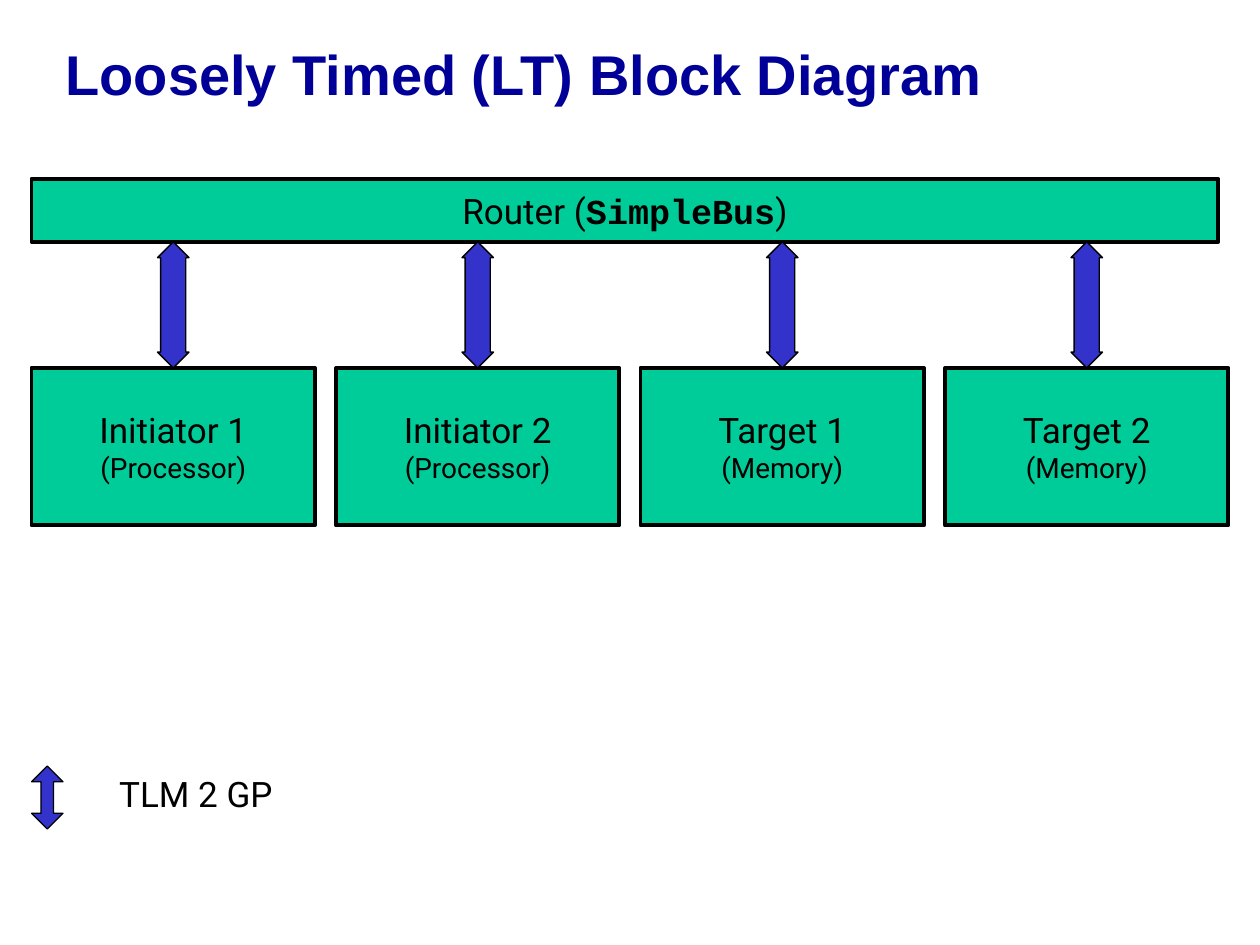
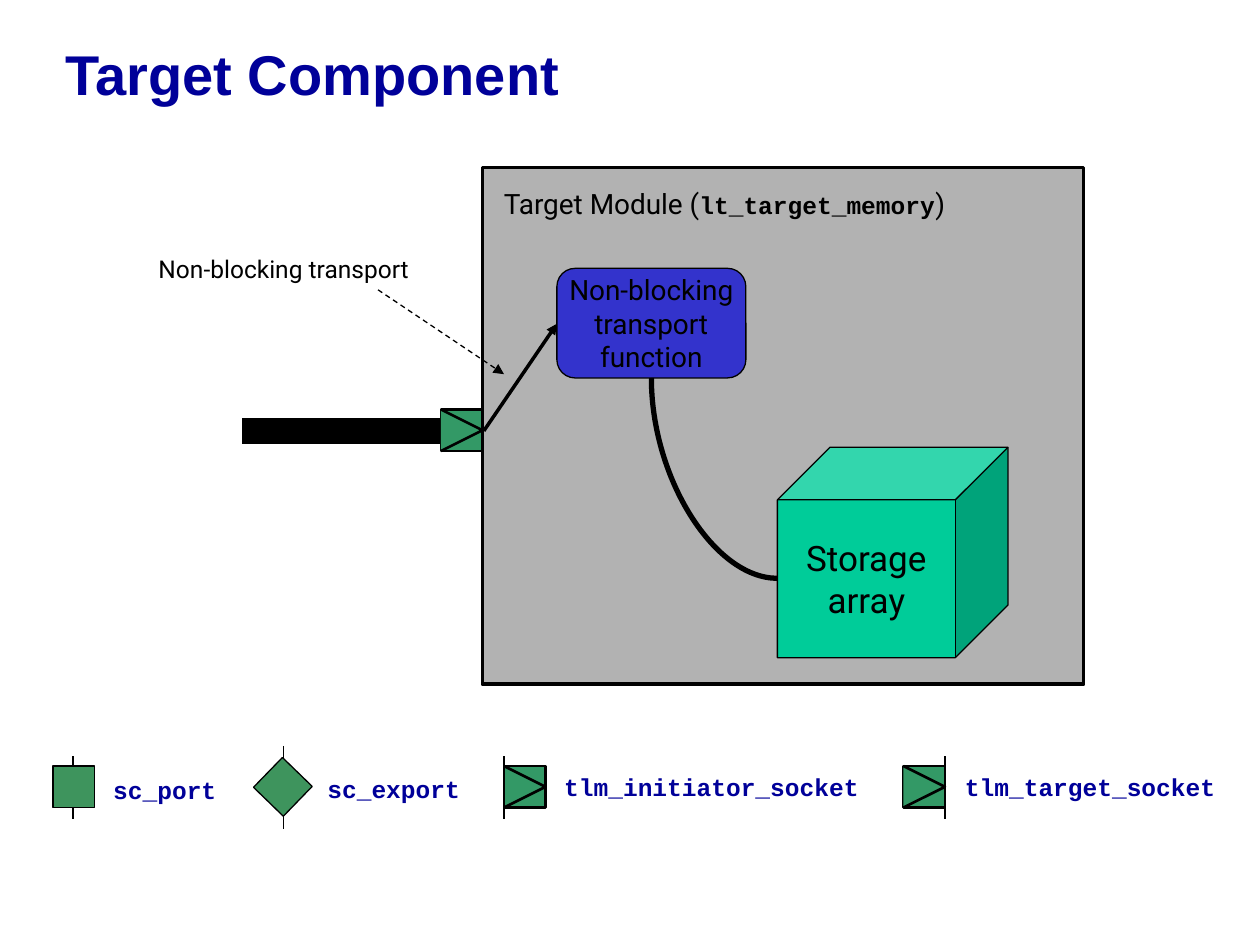
from lxml import etree
from pptx import Presentation
from pptx.dml.color import RGBColor
from pptx.enum import dml, shapes, text
from pptx.oxml import ns
from pptx.util import Inches, Pt

BLACK, NAVY, BLUE = "000000", "000099", "3333CC"
MINT, GREY, SOCKET_GREEN, PORT_GREEN = "00CC99", "B2B2B2", "339966", "3E945D"
BODY, CODE, HEADING = "Roboto", "Courier New", "Arial"
SYMBOL = 0.33
SHAPE = shapes.MSO_SHAPE
CENTER = text.PP_ALIGN.CENTER


def color(hex_code):
    """Turn a hex string into a colour."""
    return RGBColor.from_string(hex_code)


def style_run(run, size, font=BODY, hue=BLACK):
    """Set the font of a run; code and headings are bold."""
    run.font.size = Pt(size)
    run.font.name = font
    run.font.bold = font != BODY
    run.font.color.rgb = color(hue)


def write(frame, paragraphs, align=None, hue=BLACK):
    """Fill a text frame from paragraphs made of (words, size, font) runs."""
    for index, pieces in enumerate(paragraphs):
        paragraph = frame.add_paragraph() if index else frame.paragraphs[0]
        paragraph.alignment = align
        for words, size, font in pieces:
            run = paragraph.add_run()
            run.text = words
            style_run(run, size, font, hue)


def paint(shape, fill, weight):
    """Give a shape a flat fill and a black outline."""
    shape.shadow.inherit = False
    shape.fill.solid()
    shape.fill.fore_color.rgb = color(fill)
    shape.line.color.rgb = color(BLACK)
    shape.line.width = Pt(weight)


def add_block(slide, kind, box, fill, weight=0.75, paragraphs=(), adjust=()):
    """Add a filled preset shape with centred text."""
    block = slide.shapes.add_shape(kind, *map(Inches, box))
    paint(block, fill, weight)
    for index, value in enumerate(adjust):
        block.adjustments[index] = value
    frame = block.text_frame
    frame.word_wrap = False
    frame.vertical_anchor = text.MSO_ANCHOR.MIDDLE
    write(frame, paragraphs, CENTER)
    return block


def add_label(slide, box, pieces, align=None, hue=BLACK, wrap=False):
    """Add a one-paragraph text box."""
    frame = slide.shapes.add_textbox(*map(Inches, box)).text_frame
    frame.word_wrap = wrap
    frame.auto_size = text.MSO_AUTO_SIZE.SHAPE_TO_FIT_TEXT
    write(frame, [pieces], align, hue)
    return frame


def add_line(slide, start, end, weight=0.75, arrow=False, dashed=False,
             kind=shapes.MSO_CONNECTOR.STRAIGHT):
    """Add a black connector, optionally dashed or with an arrow at its end."""
    line = slide.shapes.add_connector(kind, *map(Inches, start + end))
    line.line.color.rgb = color(BLACK)
    line.line.width = Pt(weight)
    if dashed:
        line.line.dash_style = dml.MSO_LINE.DASH
    if arrow:
        etree.SubElement(line.line._get_or_add_ln(), ns.qn("a:tailEnd"), type="triangle")
    etree.SubElement(line._element.spPr, ns.qn("a:effectLst"))
    return line


def add_quarter_curve(slide, start, end, weight):
    """Add a curve that leaves start downwards and reaches end sideways."""
    width, height = end[0] - start[0], end[1] - start[1]
    middle_x, middle_y = start[0] + width / 2, start[1] + height / 2
    curve = add_line(slide, (middle_x - height / 2, middle_y - width / 2),
                     (middle_x + height / 2, middle_y + width / 2), weight,
                     kind=shapes.MSO_CONNECTOR.CURVE)
    properties = curve._element.spPr
    properties.find(ns.qn("a:prstGeom")).set("prst", "curvedConnector2")
    frame = properties.find(ns.qn("a:xfrm"))
    frame.set("rot", str(270 * 60000))
    frame.set("flipH", "1")


def add_socket(slide, left, top):
    """Add a socket symbol: a square with a wedge pointing right."""
    add_block(slide, SHAPE.RECTANGLE, (left, top, SYMBOL, SYMBOL), SOCKET_GREEN, 1.5)
    builder = slide.shapes.build_freeform(Inches(left), Inches(top))
    builder.add_line_segments([(Inches(left + SYMBOL), Inches(top + SYMBOL / 2)),
                               (Inches(left), Inches(top + SYMBOL))], close=False)
    paint(builder.convert_to_shape(), SOCKET_GREEN, 1.5)


def add_bus_arrow(slide, left, top, height, head):
    """Add a blue two-way arrow."""
    add_block(slide, SHAPE.UP_DOWN_ARROW, (left, top, 0.25, height), BLUE,
              adjust=(0.5, head))


def add_titled_slide(deck, title):
    """Add a title-only slide with the shared title style."""
    slide = deck.slides.add_slide(deck.slide_layouts[5])
    heading = slide.shapes.title
    heading.left, heading.top, heading.width, heading.height = map(
        Inches, (0.42, 0, 9.5, 1.25))
    frame = heading.text_frame
    frame.text = title
    frame.word_wrap = True
    frame.auto_size = text.MSO_AUTO_SIZE.NONE
    frame.vertical_anchor = text.MSO_ANCHOR.MIDDLE
    paragraph = frame.paragraphs[0]
    paragraph.alignment = text.PP_ALIGN.LEFT
    paragraph.line_spacing = 0.85
    style_run(paragraph.runs[0], 32, HEADING, NAVY)
    return slide


def build_block_diagram(deck):
    """Build the router with its initiators and targets."""
    slide = add_titled_slide(deck, "Loosely Timed (LT) Block Diagram")
    router = [("Router (", 20, BODY), ("SimpleBus", 20, CODE), (")", 20, BODY)]
    add_block(slide, SHAPE.RECTANGLE, (0.25, 1.42, 9.42, 0.5), MINT, 2.25, [router])
    modules = [("Initiator 1", "(Processor)"), ("Initiator 2", "(Processor)"),
               ("Target 1", "(Memory)"), ("Target 2", "(Memory)")]
    pitch = 7.25 / 3
    for index, (name, role) in enumerate(modules):
        left = 0.25 + index * pitch
        add_block(slide, SHAPE.RECTANGLE, (left, 2.92, 2.25, 1.25), MINT, 2.25,
                  [[(name, 20, BODY)], [(role, 16, BODY)]])
        add_bus_arrow(slide, left + 1, 1.92, 1, 0.8)
    add_bus_arrow(slide, 0.25, 6.08, 0.5, 0.4)
    add_label(slide, (0.84, 6.08, 1.43, 0.44), [("TLM 2 GP", 20, BODY)], CENTER)


def build_symbol_legend(slide):
    """Build the row that explains ports, exports and sockets."""
    labels = [("sc_port", 0.8, 6.1, 1.02), ("sc_export", 2.5, 6.09, 1.25),
              ("tlm_initiator_socket", 4.38, 6.08, 2.54),
              ("tlm_target_socket", 7.56, 6.08, 2.19)]
    for name, left, top, width in labels:
        add_label(slide, (left, top, width, 0.34), [(name, 14, CODE)], hue=NAVY)
    for left, stem, reach, turn in [(0.42, 0.58, 0.25, 0), (2.08, 2.25, 0.33, 44.1)]:
        add_line(slide, (stem, 6.25 - reach), (stem, 6.25 + reach))
        port = add_block(slide, SHAPE.RECTANGLE, (left, 6.08, SYMBOL, SYMBOL), PORT_GREEN)
        port.rotation = turn
    for left, stem in [(4, 4), (7.17, 7.5)]:
        add_socket(slide, left, 6.08)
        add_line(slide, (stem, 6), (stem, 6.5))


def build_target_component(deck):
    """Build the target module with its socket, function and storage."""
    slide = add_titled_slide(deck, "Target Component")
    build_symbol_legend(slide)
    add_block(slide, SHAPE.RECTANGLE, (3.83, 1.33, 4.77, 4.1), GREY, 2.25)
    module = add_label(slide, (3.9, 1.43, 3.7, 0.64),
                       [("Target Module (", 16, BODY), ("lt_target_memory", 14, CODE),
                        (")", 16, BODY)], wrap=True)
    module.paragraphs[0].space_before = Pt(10)
    add_block(slide, SHAPE.CUBE, (6.17, 3.55, 1.83, 1.67), MINT, adjust=(0.25,),
              paragraphs=[[(word, 20, BODY)] for word in ("Storage", "array")])
    add_line(slide, (3.84, 3.42), (1.92, 3.42), 15)
    add_block(slide, SHAPE.ROUNDED_RECTANGLE, (4.42, 2.13, 1.5, 0.87), BLUE,
              paragraphs=[[(word, 16, BODY)]
                          for word in ("Non-blocking", "transport", "function")])
    add_line(slide, (3.84, 3.42), (4.42, 2.57), 2, arrow=True)
    add_line(slide, (3, 2.3), (4, 2.97), arrow=True, dashed=True)
    add_label(slide, (1.16, 1.97, 2.34, 0.34), [("Non-blocking transport", 14, BODY)])
    add_quarter_curve(slide, (5.17, 3), (6.17, 4.59), 3)
    add_socket(slide, 3.5, 3.25)


def main():
    """Build and save the deck."""
    deck = Presentation()
    deck.slide_width, deck.slide_height = Inches(10), Inches(7.5)
    build_block_diagram(deck)
    build_target_component(deck)
    deck.save("out.pptx")


if __name__ == "__main__":
    main()
